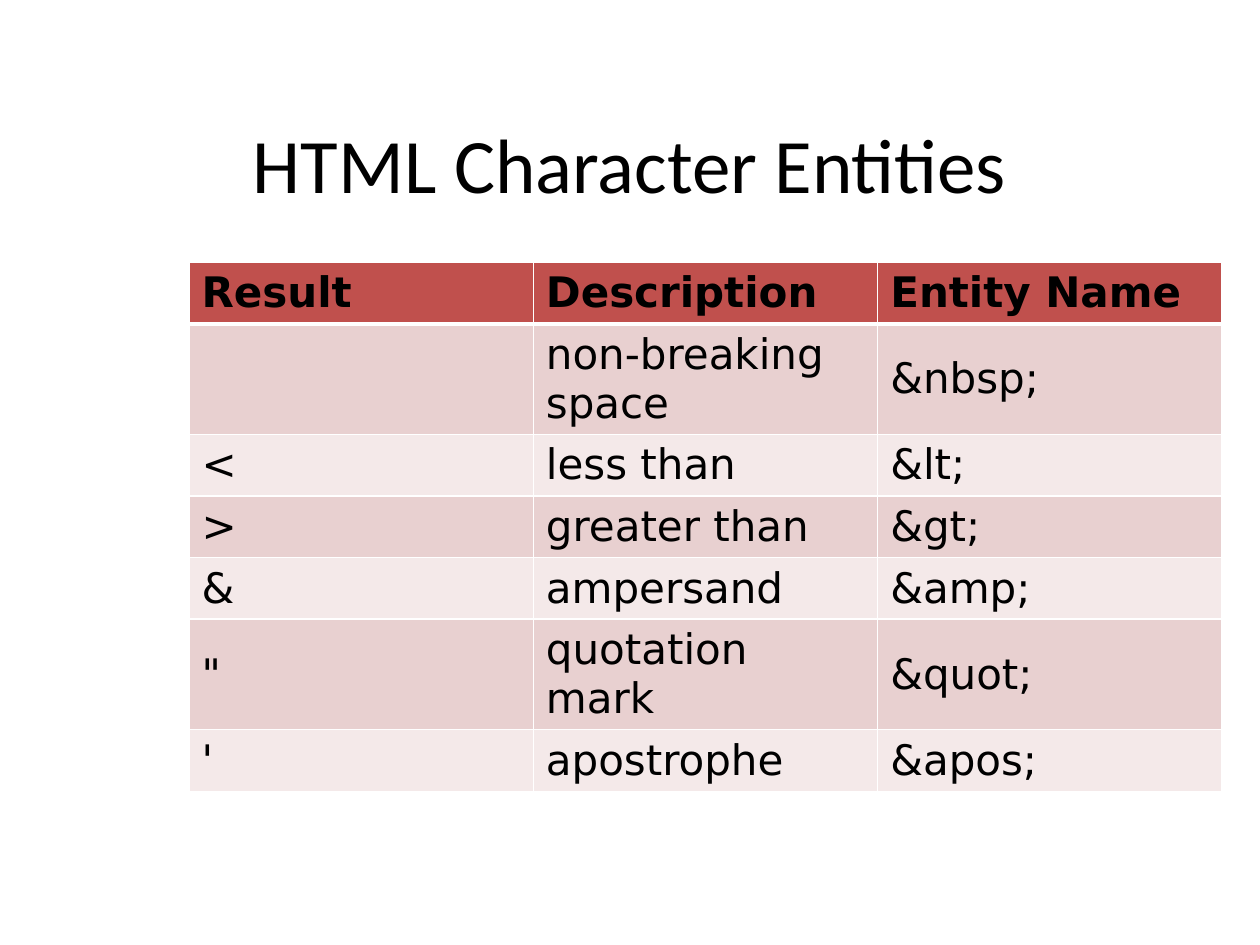
from lxml.etree import SubElement
from pptx import Presentation
from pptx.dml.color import RGBColor
from pptx.enum.text import MSO_ANCHOR, PP_ALIGN
from pptx.oxml.ns import qn
from pptx.util import Pt

BLACK = RGBColor(0x00, 0x00, 0x00)
WHITE = RGBColor(0xFF, 0xFF, 0xFF)
RED = RGBColor(0xC0, 0x50, 0x4D)
ROSE = RGBColor(0xE8, 0xD0, 0xD0)
PALE = RGBColor(0xF4, 0xE9, 0xE9)

ROWS = [
    ("Result", "Description", "Entity Name"),
    ("", "non-breaking space", "&nbsp;"),
    ("<", "less than", "&lt;"),
    (">", "greater than", "&gt;"),
    ("&", "ampersand", "&amp;"),
    ('"', "quotation mark", "&quot;"),
    ("'", "apostrophe", "&apos;"),
]


def style(frame, face, size, bold=False):
    for run in frame.paragraphs[0].runs:
        font = run.font
        font.name = face
        font.size = Pt(size)
        font.bold = bold
        font.color.rgb = BLACK


def add_title(slide, text):
    title = slide.shapes.title
    title.left, title.top = Pt(36), Pt(48)
    title.width, title.height = Pt(648), Pt(90)
    frame = title.text_frame
    frame.text = text
    frame.vertical_anchor = MSO_ANCHOR.MIDDLE
    frame.paragraphs[0].alignment = PP_ALIGN.CENTER
    style(frame, "Calibri", 44)


def add_edge(cell, side, width):
    props = cell._tc.get_or_add_tcPr()
    line = SubElement(props, qn(f"a:ln{side}"), w=str(Pt(width)))
    fill = SubElement(line, qn("a:solidFill"))
    SubElement(fill, qn("a:srgbClr"), val=str(WHITE))


def fill_cell(cell, text, row):
    head = row == 0
    cell.text = text
    cell.vertical_anchor = MSO_ANCHOR.MIDDLE
    style(cell.text_frame, "DejaVu Sans", 24, head)
    for side in "LR":
        add_edge(cell, side, 1)
    add_edge(cell, "T", 3 if row == 1 else 1)
    add_edge(cell, "B", 3 if head else 1)
    cell.fill.solid()
    cell.fill.fore_color.rgb = RED if head else ROSE if row % 2 else PALE


def add_grid(slide, rows):
    count, wide, high = len(rows[0]), 196.8, 29.5
    frame = slide.shapes.add_table(
        len(rows), count, Pt(108), Pt(150), Pt(wide * count), Pt(high * len(rows))
    )
    for row, texts in enumerate(rows):
        for col, text in enumerate(texts):
            fill_cell(frame.table.cell(row, col), text, row)


def main():
    deck = Presentation()
    deck.slide_width, deck.slide_height = Pt(720), Pt(540)
    slide = deck.slides.add_slide(deck.slide_layouts[5])
    add_title(slide, "HTML Character Entities")
    add_grid(slide, ROWS)
    deck.save("out.pptx")


if __name__ == "__main__":
    main()
